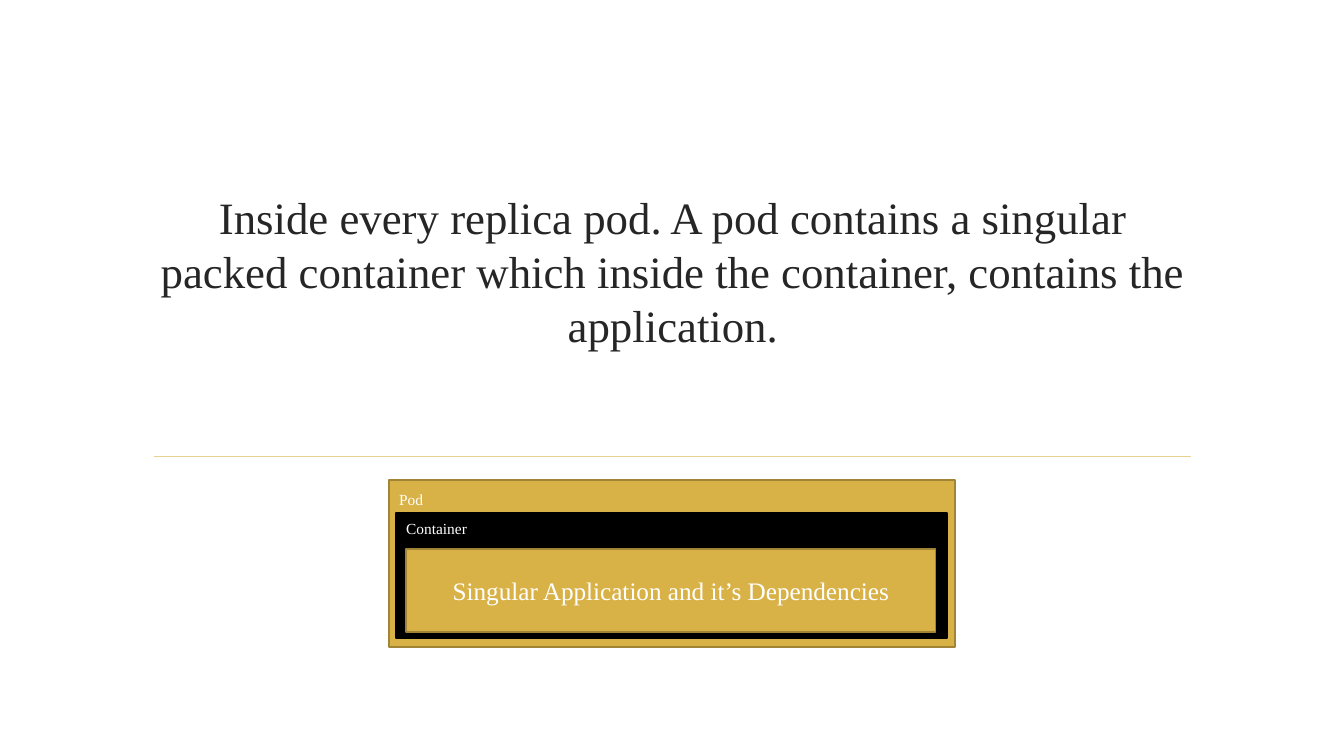
"""Build a slide showing an application nested in a container inside a pod."""
from lxml import etree
from pptx import Presentation
from pptx.dml.color import RGBColor
from pptx.enum import shapes, text
from pptx.oxml.ns import qn
from pptx.util import Inches, Pt

GOLD, DARK_GOLD, PALE_GOLD = "D9B247", "A18435", "E8D191"
BLACK, WHITE, CHARCOAL = "000000", "FFFFFF", "262626"


def color(value):
    return RGBColor.from_string(value)


def write(shape, wording, size, ink, align, anchor, top=0.05):
    frame = shape.text_frame
    frame.word_wrap = True
    frame.auto_size = text.MSO_AUTO_SIZE.NONE
    frame.vertical_anchor = anchor
    frame.margin_top = Inches(top)
    paragraph = frame.paragraphs[0]
    paragraph.alignment = align
    run = paragraph.add_run()
    run.text = wording
    run.font.name = "Times New Roman"
    run.font.size = Pt(size)
    run.font.color.rgb = color(ink)


presentation = Presentation()
presentation.slide_width = Inches(13.33)
presentation.slide_height = Inches(7.5)
slide = presentation.slides.add_slide(presentation.slide_layouts[5])

LEFT, CENTER = text.PP_ALIGN.LEFT, text.PP_ALIGN.CENTER
TOP, MIDDLE = text.MSO_ANCHOR.TOP, text.MSO_ANCHOR.MIDDLE

divider = slide.shapes.add_connector(
    shapes.MSO_CONNECTOR.STRAIGHT, Inches(1.53), Inches(4.53), Inches(11.81), Inches(4.53))
divider.line.color.rgb = color(PALE_GOLD)
divider.line.width = Pt(1.25)
etree.SubElement(divider._element.spPr, qn("a:effectLst"))

title = slide.shapes.title
title.left, title.top = Inches(1.43), Inches(1.07)
title.width, title.height = Inches(10.49), Inches(3.23)
write(title, "Inside every replica pod. A pod contains a singular packed container "
      "which inside the container, contains the application.",
      32, CHARCOAL, CENTER, MIDDLE)

layers = [
    ("Pod", (3.86, 4.76, 5.61, 1.66), GOLD, DARK_GOLD, 11, LEFT, TOP, 0.1),
    ("Container", (3.93, 5.09, 5.46, 1.24), BLACK, BLACK, 11, LEFT, TOP, 0.06),
    ("Singular Application and it’s Dependencies", (4.03, 5.45, 5.25, 0.82),
     GOLD, DARK_GOLD, 18, CENTER, MIDDLE, 0.05),
]
nested_boxes = slide.shapes.add_group_shape()
for wording, place, fill, outline, size, align, anchor, top in layers:
    box = nested_boxes.shapes.add_shape(
        shapes.MSO_SHAPE.RECTANGLE, *[Inches(length) for length in place])
    box.shadow.inherit = False
    box.fill.solid()
    box.fill.fore_color.rgb = color(fill)
    box.line.color.rgb = color(outline)
    box.line.width = Pt(1.25)
    write(box, wording, size, WHITE, align, anchor, top=top)

presentation.save("out.pptx")
